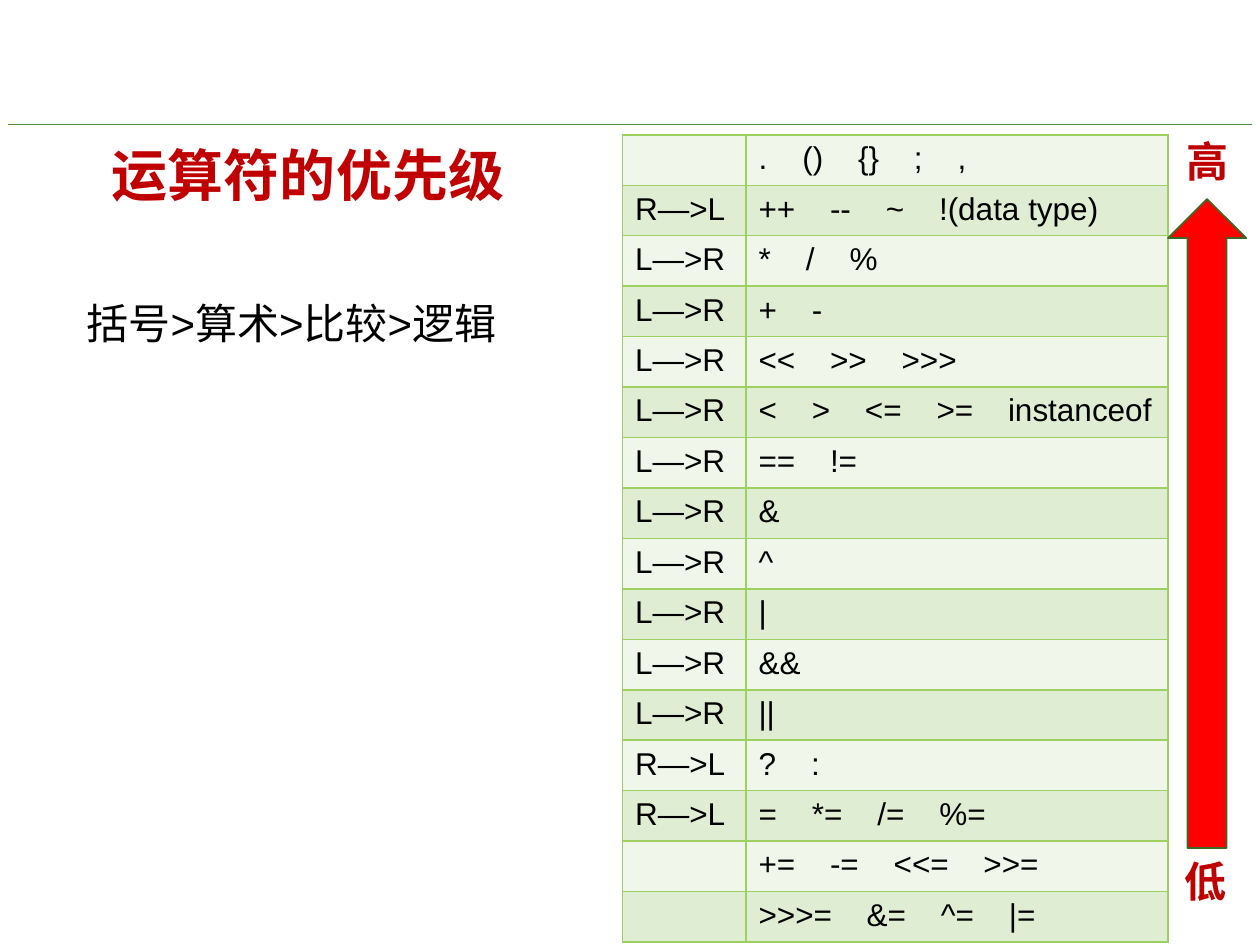
from itertools import accumulate

from lxml.etree import SubElement
from pptx import Presentation
from pptx.dml.color import RGBColor
from pptx.enum.shapes import MSO_CONNECTOR, MSO_SHAPE
from pptx.oxml.ns import qn
from pptx.util import Inches, Pt

CJK = "Noto Sans CJK SC"
DARK_RED = "C00000"
BANDS = ("F0F6EA", "DFEDD2")
ROW_H = 0.4
CELL_PT = 18
GAP_EM = 1.11

# Arial character widths in em, for the gaps between operators
CHAR_EM = {"&": 0.67, "%": 0.89, "^": 0.47, "*": 0.39, "|": 0.26}
CHAR_EM |= dict.fromkeys("+~<>=", 0.58) | dict.fromkeys("(){}-", 0.33)
CHAR_EM |= dict.fromkeys(".;,/:!", 0.28) | {"?": 0.56}

PRECEDENCE = [
    ("", ". () {} ; ,".split()),
    ("R—>L", ["++", "--", "~", "!(data type)"]),
    ("L—>R", "* / %".split()),
    ("L—>R", "+ -".split()),
    ("L—>R", "<< >> >>>".split()),
    ("L—>R", "< > <= >= instanceof".split()),
    ("L—>R", "== !=".split()),
    ("L—>R", ["&"]),
    ("L—>R", ["^"]),
    ("L—>R", ["|"]),
    ("L—>R", ["&&"]),
    ("L—>R", ["||"]),
    ("R—>L", "? :".split()),
    ("R—>L", "= *= /= %=".split()),
    ("", "+= -= <<= >>=".split()),
    ("", ">>>= &= ^= |=".split()),
]


def rgb(hex_color):
    return RGBColor.from_string(hex_color)


def write(tf, text, size=CELL_PT, color="000000", bold=False, font="Arial"):
    """Put one formatted run into the first paragraph and return the paragraph."""
    p = tf.paragraphs[0]
    r = p.add_run()
    r.text = text
    r.font.size, r.font.bold, r.font.name = Pt(size), bold, font
    r.font.color.rgb = rgb(color)
    SubElement(r._r.get_or_add_rPr(), qn("a:ea"), typeface=CJK)
    return p


def add_text(slide, box, text, **fmt):
    tf = slide.shapes.add_textbox(*map(Inches, box)).text_frame
    tf.word_wrap = True
    write(tf, text, **fmt)


def add_rule(slide, left, right, y):
    line = slide.shapes.add_connector(
        MSO_CONNECTOR.STRAIGHT, *map(Inches, (left, y, right, y)))
    line.line.color.rgb = rgb("538C2E")
    line.line.width = Pt(0.5)
    SubElement(line._element.spPr, qn("a:effectLst"))


def add_up_arrow(slide, box):
    sp = slide.shapes.add_shape(MSO_SHAPE.UP_ARROW, *map(Inches, box))
    sp.shadow.inherit = False
    sp.fill.solid()
    sp.fill.fore_color.rgb = rgb("FF0000")
    sp.line.color.rgb = rgb("3D6822")
    sp.line.width = Pt(1)


def style_cell(cell, fill, border="9ECF61"):
    tc_pr = cell._tc.get_or_add_tcPr()
    for side in ("lnL", "lnR", "lnT", "lnB"):
        ln = SubElement(tc_pr, qn(f"a:{side}"), w=str(Pt(1)))
        SubElement(SubElement(ln, qn("a:solidFill")), qn("a:srgbClr"), val=border)
    cell.fill.solid()
    cell.fill.fore_color.rgb = rgb(fill)


def set_even_gaps(p, words):
    """Set tab stops that leave the same gap after each word but the last."""
    steps = [sum(CHAR_EM[c] for c in word) + GAP_EM for word in words[:-1]]
    if steps:
        tabs = SubElement(p._p.get_or_add_pPr(), qn("a:tabLst"))
        for stop in accumulate(steps):
            SubElement(tabs, qn("a:tab"), pos=str(Pt(stop * CELL_PT)), algn="l")


def add_precedence_table(slide, left, top, widths):
    height = ROW_H * len(PRECEDENCE)
    table = slide.shapes.add_table(
        len(PRECEDENCE), len(widths),
        *map(Inches, (left, top, sum(widths), height))).table
    table.first_row = table.horz_banding = False
    for column, width in zip(table.columns, widths):
        column.width = Inches(width)
    for i, (direction, operators) in enumerate(PRECEDENCE):
        table.rows[i].height = Inches(ROW_H)
        side, main_cell = table.rows[i].cells
        for cell in (side, main_cell):
            style_cell(cell, BANDS[i % 2])
        if direction:
            write(side.text_frame, direction)
        p = write(main_cell.text_frame, "\t".join(operators))
        set_even_gaps(p, operators)


def main():
    prs = Presentation()
    prs.slide_width, prs.slide_height = Inches(10), Inches(7.5)
    slide = prs.slides.add_slide(prs.slide_layouts[6])

    add_rule(slide, 0.06, 9.94, 0.99)
    add_text(slide, (0.79, 1.07, 3.39, 0.64), "运算符的优先级",
             size=32, color=DARK_RED, bold=True)
    add_text(slide, (0.59, 2.31, 3.96, 1.28), "括号>算术>比较>逻辑", size=24)
    add_precedence_table(slide, 4.94, 1.07, (0.98, 3.35))
    add_up_arrow(slide, (9.27, 1.58, 0.62, 5.15))
    for text, left, top in (("高", 9.32, 1.03), ("低", 9.3, 6.74)):
        add_text(slide, (left, top, 0.54, 0.5), text,
                 size=24, color=DARK_RED, bold=True, font=CJK)

    prs.save("out.pptx")


if __name__ == "__main__":
    main()
